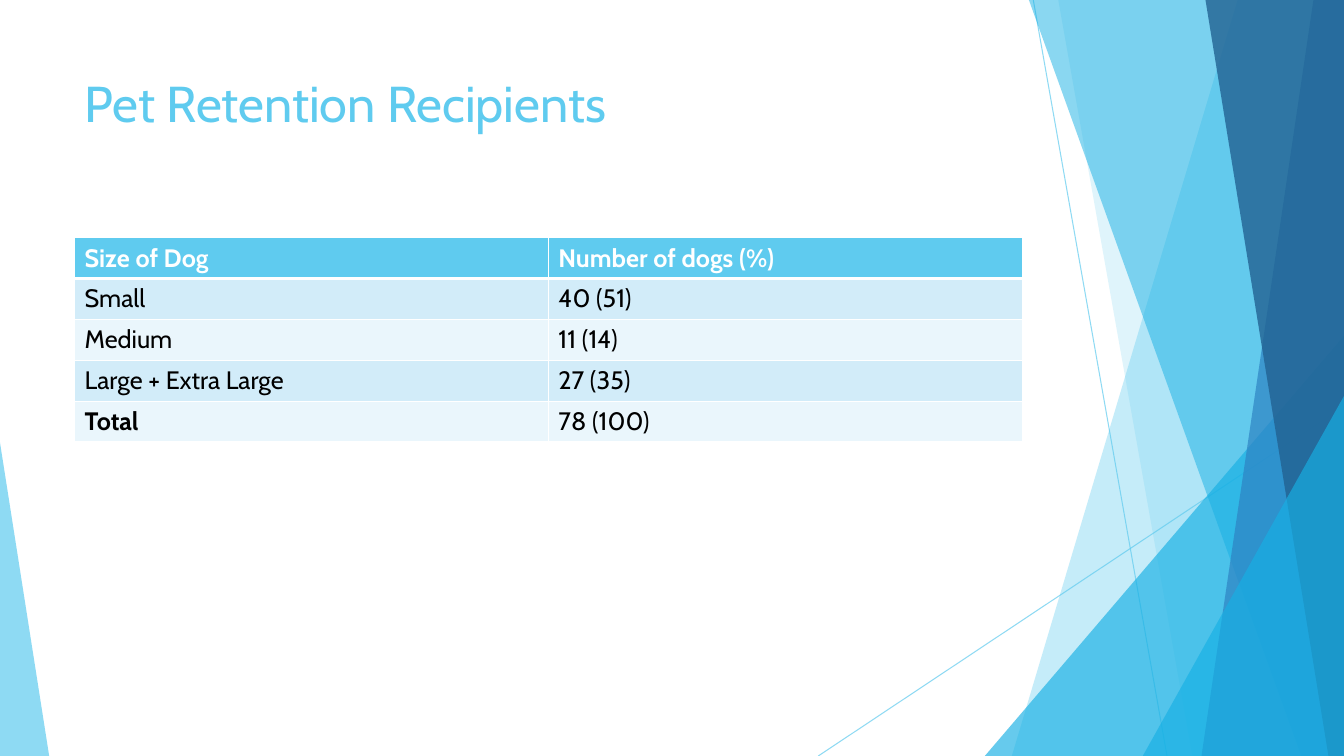
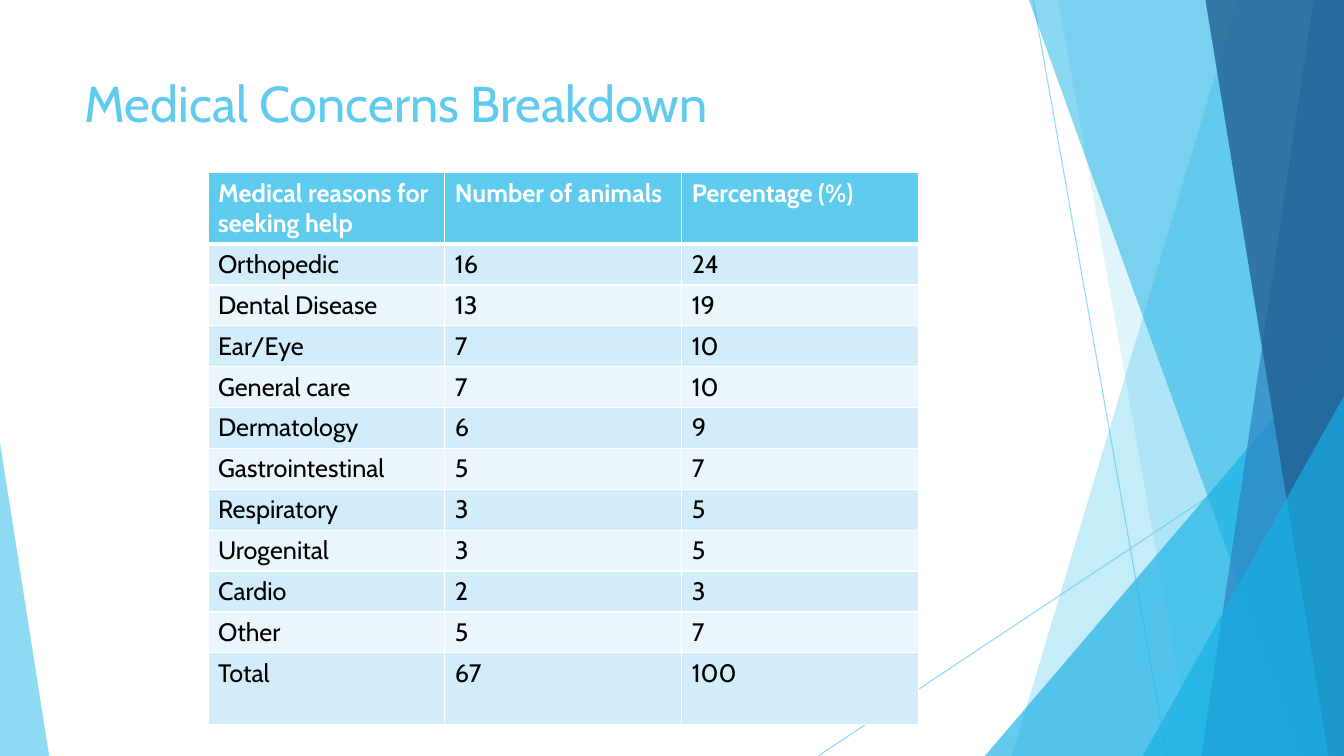
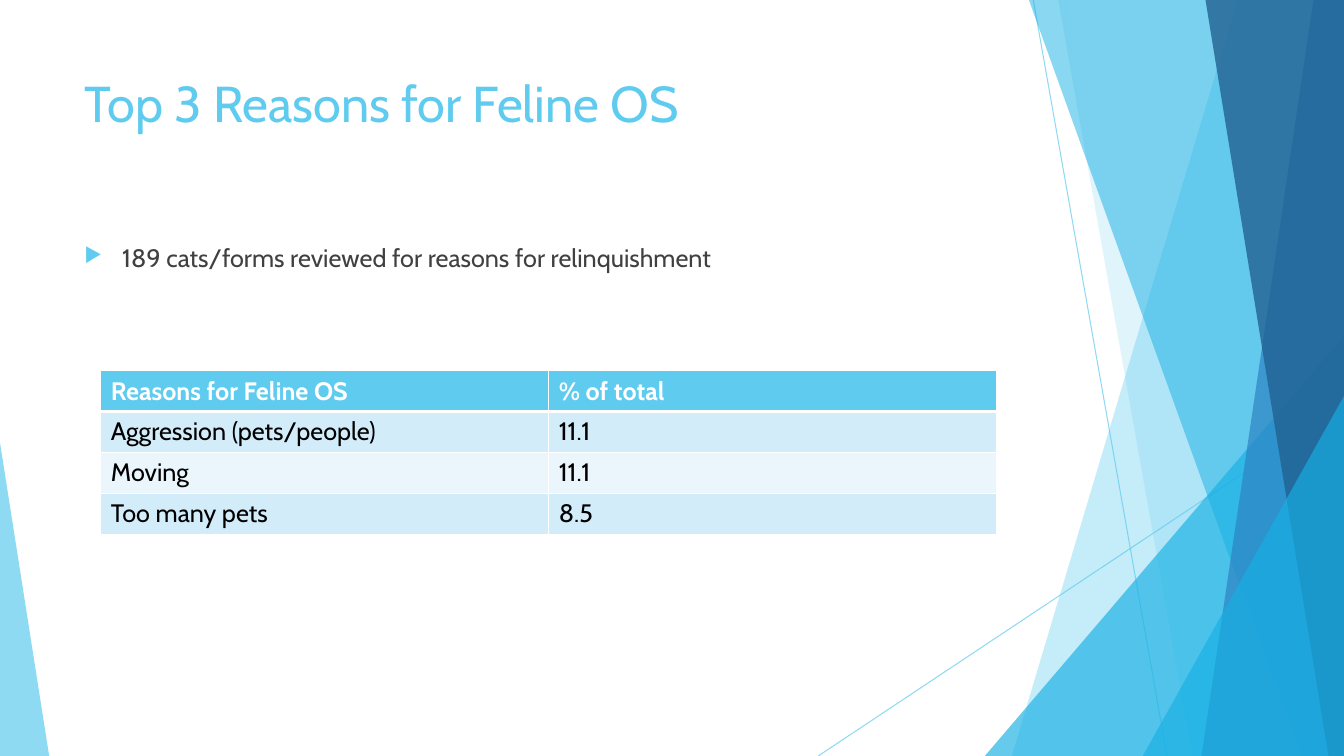
"""Build three slides of pet support tables on a shared faceted blue background."""
from lxml import etree
from pptx import Presentation
from pptx.dml.color import RGBColor
from pptx.enum.shapes import MSO_CONNECTOR, MSO_SHAPE
from pptx.oxml.ns import qn
from pptx.util import Cm, Pt

STRAIGHT = MSO_CONNECTOR.STRAIGHT
TRIANGLE = MSO_SHAPE.ISOSCELES_TRIANGLE

FONT = "Cabin"
SKY = RGBColor(0x5F, 0xCB, 0xEF)
CYAN = RGBColor(0x17, 0xB0, 0xE4)
BLUE = RGBColor(0x2E, 0x83, 0xC3)
NAVY = RGBColor(0x22, 0x62, 0x92)
BAND_DARK = RGBColor(0xD2, 0xEC, 0xF9)
BAND_LIGHT = RGBColor(0xEA, 0xF6, 0xFC)
WHITE = RGBColor(0xFF, 0xFF, 0xFF)
BLACK = RGBColor(0, 0, 0)
GREY = RGBColor(0x40, 0x40, 0x40)

WIDTH, HEIGHT = 33.87, 19.05
LEFT, TEXT_WIDTH = 1.88, 23.88
ROW, TALL_ROW = 1.03, 1.8

LINES = [(26.04, 0, 29.41, HEIGHT), (WIDTH, 10.24, 20.62, HEIGHT)]

# Bands give top and bottom x; triangles give left, top, right and apex.
FACETS = [
    ((31.19, 25.5), SKY, 36),
    ((26.67, 30.05), SKY, 20),
    ((24.82, 8.46, WIDTH, 1), CYAN, 66),
    ((25.93, 32.79), CYAN, 50),
    ((33.1, 30.28), BLUE, 70),
    ((30.38, 33.48), NAVY, 80),
    ((28.8, 9.98, WIDTH, 1), CYAN, 66),
    ((0, 11.15, 1.24, 0), SKY, 70),
]

SLIDES = [
    {
        "title": "Pet Retention Recipients",
        "at": (LEFT, 5.99), "column": 11.94, "tall": (), "bold": ("Total",),
        "rows": [
            ("Size of Dog", "Number of dogs (%)"),
            ("Small", "40 (51)"),
            ("Medium", "11 (14)"),
            ("Large + Extra Large", "27 (35)"),
            ("Total", "78 (100)"),
        ],
    },
    {
        "title": "Medical Concerns Breakdown",
        "at": (5.24, 4.35), "column": 5.97, "tall": (0, 11), "bold": (),
        "rows": [
            ("Medical reasons for seeking help", "Number of animals", "Percentage (%)"),
            ("Orthopedic", "16", "24"),
            ("Dental Disease", "13", "19"),
            ("Ear/Eye", "7", "10"),
            ("General care", "7", "10"),
            ("Dermatology", "6", "9"),
            ("Gastrointestinal", "5", "7"),
            ("Respiratory", "3", "5"),
            ("Urogenital", "3", "5"),
            ("Cardio", "2", "3"),
            ("Other", "5", "7"),
            ("Total", "67", "100"),
        ],
    },
    {
        "title": "Top 3 Reasons for Feline OS",
        "bullet": "189 cats/forms reviewed for reasons for relinquishment",
        "at": (2.54, 9.34), "column": 11.29, "tall": (), "bold": (),
        "rows": [
            ("Reasons for Feline OS", "% of total"),
            ("Aggression (pets/people)", "11.1"),
            ("Moving", "11.1"),
            ("Too many pets", "8.5"),
        ],
    },
]


def set_alpha(shape, percent):
    for clr in shape._element.iter(qn("a:srgbClr")):
        etree.SubElement(clr, qn("a:alpha"), val=str(percent * 1000))


def add_run(p, text, size, color, bold=False):
    r = p.add_run()
    r.text = text
    r.font.name, r.font.size, r.font.bold = FONT, Pt(size), bold
    r.font.color.rgb = color


prs = Presentation()
prs.slide_width, prs.slide_height = Cm(WIDTH), Cm(HEIGHT)

for data in SLIDES:
    s = prs.slides.add_slide(prs.slide_layouts[6])

    for ends in LINES:
        line = s.shapes.add_connector(STRAIGHT, *[Cm(v) for v in ends])
        line.line.color.rgb = SKY
        line.line.width = Pt(0.75)
        set_alpha(line, 70)
        etree.SubElement(line._element.spPr, qn("a:effectLst"))

    for outline, color, alpha in FACETS:
        if len(outline) == 2:
            top_x, bottom_x = outline
            builder = s.shapes.build_freeform(Cm(top_x), 0)
            corners = [(WIDTH, 0), (WIDTH, HEIGHT), (bottom_x, HEIGHT)]
            builder.add_line_segments([(Cm(x), Cm(y)) for x, y in corners])
            sp = builder.convert_to_shape()
        else:
            left, top, right, apex = outline
            sp = s.shapes.add_shape(TRIANGLE, Cm(left), Cm(top), Cm(right - left), Cm(HEIGHT - top))
            sp.adjustments[0] = apex
        sp.shadow.inherit = False
        sp.fill.solid()
        sp.fill.fore_color.rgb = color
        sp.line.fill.background()
        set_alpha(sp, alpha)

    tf = s.shapes.add_textbox(Cm(LEFT), Cm(1.7), Cm(TEXT_WIDTH), Cm(3.66)).text_frame
    tf.word_wrap = True
    add_run(tf.paragraphs[0], data["title"], 36, SKY)

    if "bullet" in data:
        tf = s.shapes.add_textbox(Cm(LEFT), Cm(5.99), Cm(TEXT_WIDTH), Cm(10.77)).text_frame
        tf.word_wrap = True
        p = tf.paragraphs[0]
        pPr = p._p.get_or_add_pPr()
        pPr.set("marL", str(Cm(0.95)))
        pPr.set("indent", str(-Cm(0.95)))
        bu_clr = etree.SubElement(pPr, qn("a:buClr"))
        etree.SubElement(bu_clr, qn("a:srgbClr"), val=str(SKY))
        etree.SubElement(pPr, qn("a:buSzPct"), val="80000")
        etree.SubElement(pPr, qn("a:buChar"), char="▶")
        add_run(p, data["bullet"], 18, GREY)

    rows = data["rows"]
    heights = [TALL_ROW if i in data["tall"] else ROW for i in range(len(rows))]
    columns = len(rows[0])
    left, top = data["at"]
    table = s.shapes.add_table(len(rows), columns, Cm(left), Cm(top),
                               Cm(columns * data["column"]), Cm(sum(heights))).table
    table.first_row = table.horz_banding = False
    for column in table.columns:
        column.width = Cm(data["column"])
    for i, row in enumerate(rows):
        table.rows[i].height = Cm(heights[i])
        for j, text in enumerate(row):
            cell = table.cell(i, j)
            tcPr = cell._tc.get_or_add_tcPr()
            for side in ("L", "R", "T", "B"):
                thick = (i, side) in ((0, "B"), (1, "T"))
                ln = etree.SubElement(tcPr, qn("a:ln" + side), w=str(Pt(3 if thick else 1)))
                fill = etree.SubElement(ln, qn("a:solidFill"))
                etree.SubElement(fill, qn("a:srgbClr"), val=str(WHITE))
            cell.fill.solid()
            cell.fill.fore_color.rgb = SKY if i == 0 else BAND_DARK if i % 2 else BAND_LIGHT
            add_run(cell.text_frame.paragraphs[0], text, 18,
                    BLACK if i else WHITE, i == 0 or text in data["bold"])

prs.save("out.pptx")
